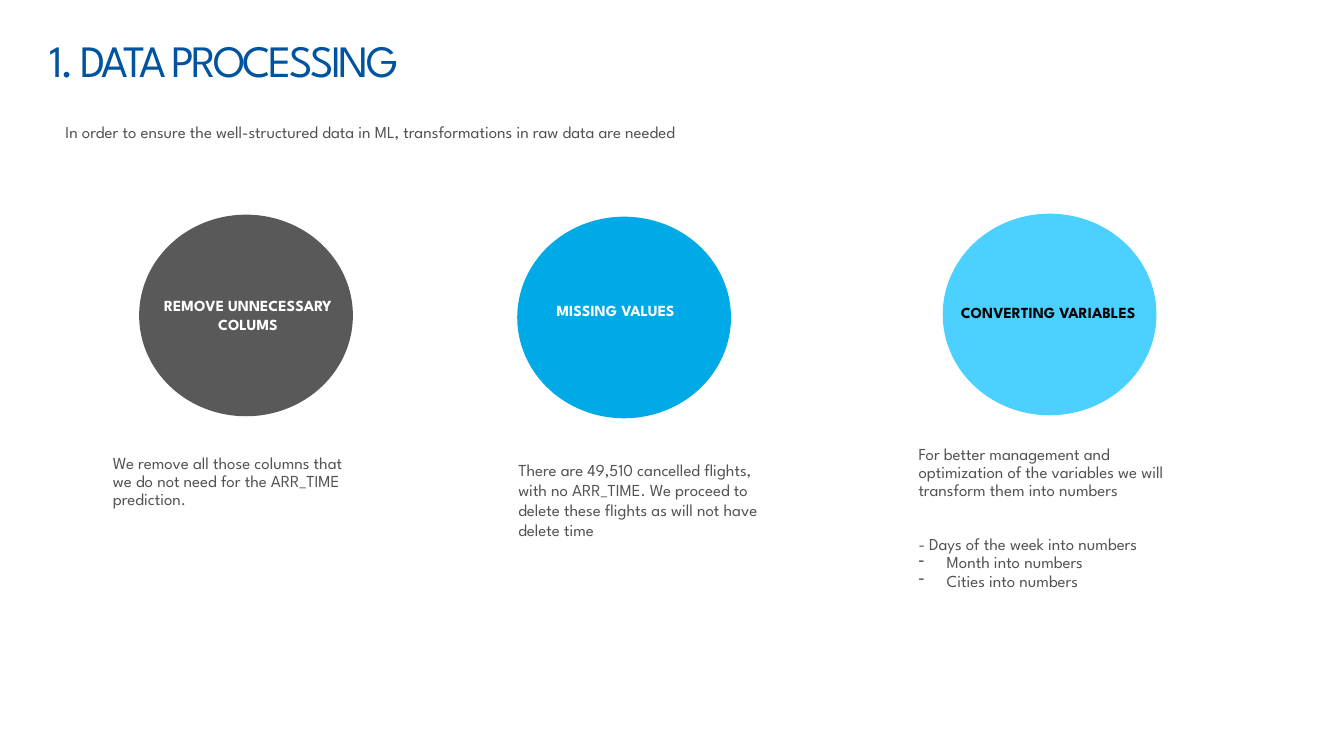
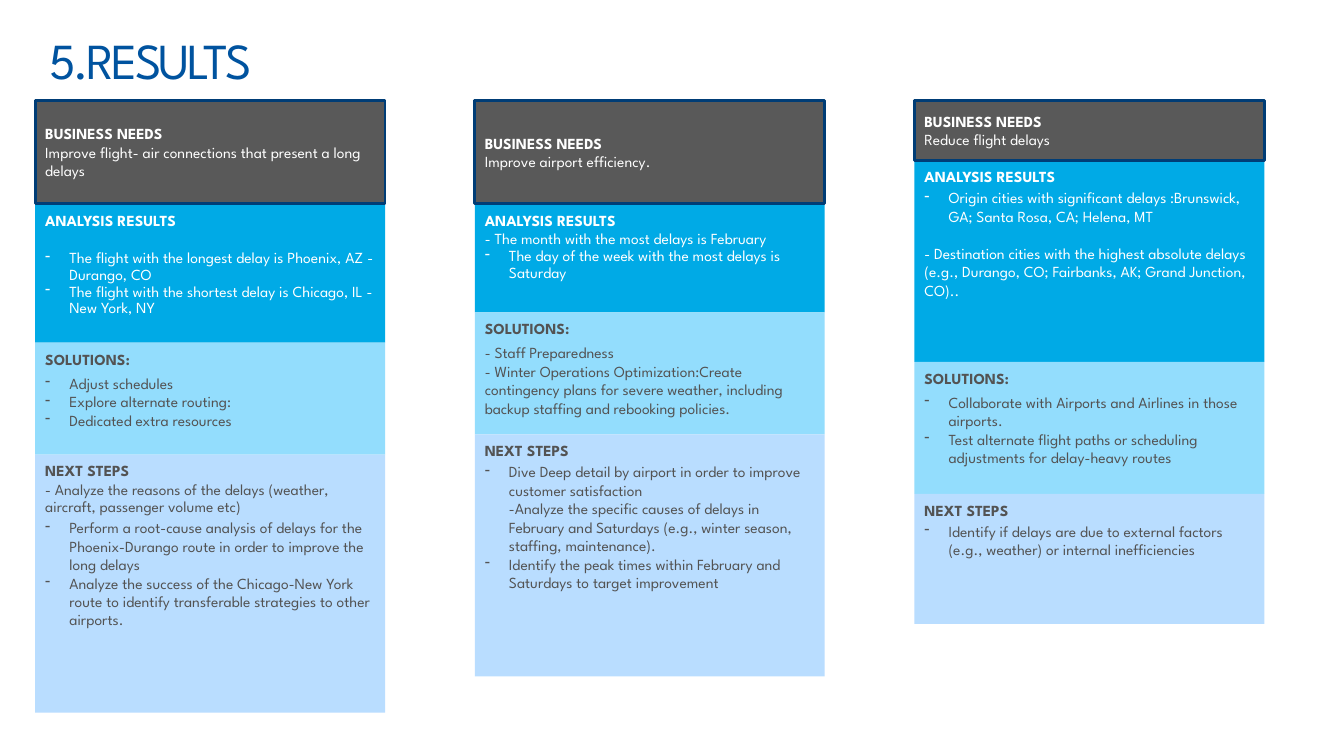
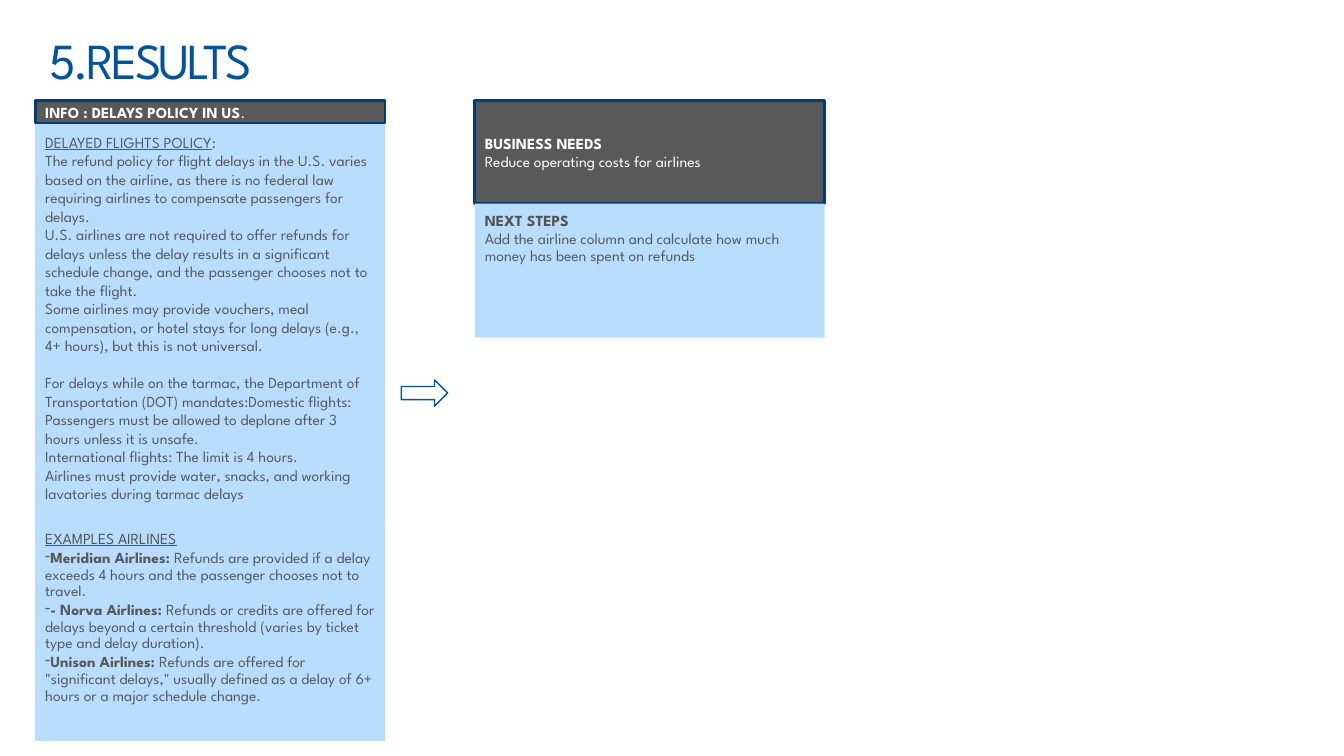
from pptx import Presentation
from pptx.dml.color import RGBColor
from pptx.enum.shapes import MSO_SHAPE
from pptx.enum.text import MSO_ANCHOR, PP_ALIGN
from pptx.oxml.ns import qn
from pptx.util import Inches, Pt
from lxml import etree

RECTANGLE, ELLIPSE, ARROW = MSO_SHAPE.RECTANGLE, MSO_SHAPE.OVAL, MSO_SHAPE.RIGHT_ARROW
TOP, MIDDLE = MSO_ANCHOR.TOP, MSO_ANCHOR.MIDDLE
LEFT, CENTER = PP_ALIGN.LEFT, PP_ALIGN.CENTER


class Theme:
    font = "League Spartan"
    title, outline = "00539F", "003D76"
    white, black = "FFFFFF", "000000"
    text, gray = "535353", "595959"
    blue, sky, pale, mist = "00AAE6", "4BD0FF", "93DDFD", "B9DDFF"
    body_size, panel_size = 12, 11
    title_tracking = -190


def add_box(slide, left, top, width, height, kind=None, fill=None, line=None,
            line_width=2, anchor=TOP, margins=(0, 0)):
    """Add a text box, or a preset shape when a kind is given."""
    place = [Inches(value) for value in (left, top, width, height)]
    if kind is None:
        box = slide.shapes.add_textbox(*place)
    else:
        box = slide.shapes.add_shape(kind, *place)
        box.shadow.inherit = False
        box.fill.solid()
        box.fill.fore_color.rgb = RGBColor.from_string(fill)
        if line:
            box.line.color.rgb = RGBColor.from_string(line)
            box.line.width = Pt(line_width)
        else:
            box.line.fill.background()
    frame = box.text_frame
    frame.word_wrap = True
    frame.vertical_anchor = anchor
    frame.margin_left = frame.margin_right = Inches(margins[0])
    frame.margin_top = frame.margin_bottom = Inches(margins[1])
    return box


def write(box, text, size=Theme.panel_size, color=Theme.text, bold=False, underline=False,
          align=LEFT, spacing=1.0, before=0, after=0, bullet=None, tracking=None):
    """Add a paragraph; text is a string or a list of (string, format) spans."""
    frame = box.text_frame
    para = frame.paragraphs[0] if not frame.text else frame.add_paragraph()
    para.alignment, para.line_spacing = align, spacing
    para.space_before, para.space_after = Pt(before), Pt(after)
    if bullet is not None:
        properties = para._p.get_or_add_pPr()
        properties.set("marL", str(Inches(bullet)))
        properties.set("indent", str(-Inches(bullet)))
        etree.SubElement(properties, qn("a:buChar")).set("char", "-")
    for words, changes in [(text, {})] if isinstance(text, str) else text:
        for index, part in enumerate(words.split("\n")):
            if index:
                para.add_line_break()
            span = para.add_run()
            span.text = part
            span.font.name, span.font.size = Theme.font, Pt(size)
            span.font.bold = changes.get("bold", bold)
            span.font.underline = changes.get("underline", underline)
            span.font.color.rgb = RGBColor.from_string(changes.get("color", color))
            if tracking:
                span.font._element.set("spc", str(tracking))


deck = Presentation()
deck.slide_width, deck.slide_height = Inches(13.33), Inches(7.5)

# Slides and titles
pages = []
for title, size in (("1. DATA PROCESSING", 32), ("5.RESULTS", 36), ("5.RESULTS", 36)):
    page = deck.slides.add_slide(deck.slide_layouts[6])
    write(add_box(page, 0.49, 0.21, 11.67, 0.83, anchor=MIDDLE), title, size=size,
          color=Theme.title, spacing=0.9, tracking=Theme.title_tracking)
    pages.append(page)
processing, results, policy = pages

# Shared formats
TIGHT = dict(spacing=0.9)
BULLET = dict(bullet=0.24)
TIGHT_BULLET = dict(spacing=0.9, bullet=0.24)
SPACED = dict(spacing=0.9, after=1.65)
HEADER = dict(kind=RECTANGLE, fill=Theme.gray, line=Theme.outline,
              anchor=MIDDLE, margins=(0.1, 0.05))
PANEL = dict(kind=RECTANGLE, margins=(0.1, 0.09))

# Data processing: introduction
write(add_box(processing, 0.65, 0.91, 9.36, 0.83, anchor=MIDDLE),
      "In order to ensure the well-structured data in ML, transformations in raw data are needed",
      size=Theme.body_size, spacing=0.9)

# Data processing: circles, labels and descriptions
STEP = dict(bullet=0.28, spacing=0.9)
circles = [
    ((1.38, 2.13), Theme.gray, (1.56, 2.94, 1.8, 0.37),
     "REMOVE UNNECESSARY COLUMS", Theme.white, CENTER, (1.12, 3.88, 2.42),
     [("We remove all those columns that we do not need for the ARR_TIME prediction.", TIGHT)]),
    ((5.13, 2.15), Theme.blue, (5.52, 2.99, 1.73, 0.19),
     "MISSING VALUES", Theme.white, LEFT, (5.14, 4.06, 2.42),
     [("There are 49,510 cancelled flights, with no ARR_TIME. We proceed to delete these "
       "flights as will not have delete time", {})]),
    ((9.35, 2.12), Theme.sky, (9.53, 3.01, 1.9, 0.19),
     "CONVERTING VARIABLES", Theme.black, LEFT, (9.11, 4.24, 2.78),
     [("For better management and optimization of the variables we will transform them "
       "into numbers", TIGHT),
      ("- Days of the week into numbers", dict(spacing=0.9, before=26)),
      ("Month into numbers", STEP),
      ("Cities into numbers", STEP)]),
]
for corner, fill, label_place, label, color, align, text_place, lines in circles:
    add_box(processing, *corner, 2.12, 2, kind=ELLIPSE, fill=fill)
    write(add_box(processing, *label_place), label, color=color, bold=True, align=align)
    description = add_box(processing, *text_place, 1.8, anchor=MIDDLE)
    for text, style in lines:
        write(description, text, size=Theme.body_size, **style)

# Results: three columns of stacked panels
COLUMN_LEFT, COLUMN_PITCH, COLUMN_WIDTH = 0.35, 4.36, 3.47
sections = [
    ("BUSINESS NEEDS", Theme.white, {}, HEADER),
    ("ANALYSIS RESULTS", Theme.white, SPACED, dict(PANEL, fill=Theme.blue)),
    ("SOLUTIONS:", Theme.text, dict(spacing=0.9, after=3.85), dict(PANEL, fill=Theme.pale)),
    ("NEXT STEPS", Theme.text, SPACED, dict(PANEL, fill=Theme.mist)),
]
columns = [
    ((1, 2.02, 3.4, 4.51, 7.07), [
        [("Improve flight- air connections that present a long delays", {})],
        [("The flight with the longest delay is Phoenix, AZ - Durango, CO",
          dict(TIGHT_BULLET, before=13.5)),
         ("The flight with the shortest delay is Chicago, IL - New York, NY", TIGHT_BULLET)],
        [("Adjust schedules", BULLET),
         ("Explore alternate routing:", BULLET),
         ("Dedicated extra resources", BULLET)],
        [("- Analyze the reasons of the delays (weather, aircraft, passenger volume etc)", SPACED),
         ("Perform a root-cause analysis of delays for the Phoenix-Durango route in order to "
          "improve the long delays", BULLET),
         ("Analyze the success of the Chicago-New York route to identify transferable "
          "strategies to other airports.", BULLET)],
    ]),
    ((1, 2.02, 3.1, 4.31, 6.71), [
        [("Improve airport efficiency.", {})],
        [("- The month with the most delays is February", TIGHT),
         ("The day of the week with the most delays is Saturday", TIGHT_BULLET)],
        [("- Staff Preparedness", {}),
         ("- Winter Operations Optimization:Create contingency plans for severe weather, "
          "including backup staffing and rebooking policies.", {})],
        [("Dive Deep detail by airport in order to improve customer satisfaction\n"
          "-Analyze the specific causes of delays in February and Saturdays (e.g., winter "
          "season, staffing, maintenance).", BULLET),
         ("Identify the peak times within February and Saturdays to target improvement",
          BULLET)],
    ]),
    ((1, 1.59, 3.59, 4.9, 6.19), [
        [("Reduce flight delays", {})],
        [("Origin cities with significant delays :Brunswick, GA; Santa Rosa, CA; Helena, MT",
          BULLET),
         ("- Destination cities with the highest absolute delays (e.g., Durango, CO; "
          "Fairbanks, AK; Grand Junction, CO)..", dict(before=13.2))],
        [("Collaborate with Airports and Airlines in those airports.", BULLET),
         ("Test alternate flight paths or scheduling adjustments for delay-heavy routes",
          BULLET)],
        [("Identify if delays are due to external factors (e.g., weather) or internal "
          "inefficiencies", BULLET)],
    ]),
]
for column, (edges, contents) in enumerate(columns):
    left = COLUMN_LEFT + column * COLUMN_PITCH
    for row in (1, 2, 0, 3):  # the outlined header lies over the analysis panel
        heading, color, heading_style, look = sections[row]
        panel = add_box(results, left, edges[row], COLUMN_WIDTH,
                        edges[row + 1] - edges[row], **look)
        write(panel, heading, color=color, bold=True, **heading_style)
        for text, style in contents[row]:
            write(panel, text, color=color, **style)

# Delay policy: panels as top, column, height, look and paragraphs
BOLD, LINE_GAP = dict(bold=True), dict(before=13.2)
GRAY = dict(color=Theme.gray)
AIRLINE = dict(SPACED, color=Theme.gray, bullet=0)
HEADER_TITLE = dict(color=Theme.white, bold=True)
MIST_PANEL = dict(PANEL, fill=Theme.mist)
policy_panels = [
    (0, 1.23, 3.98, MIST_PANEL, [
        ([("DELAYED FLIGHTS POLICY", dict(underline=True)), (":", {})], GRAY),
        ("The refund policy for flight delays in the U.S. varies based on the airline, as there "
         "is no federal law requiring airlines to compensate passengers for delays.", GRAY),
        ("U.S. airlines are not required to offer refunds for delays unless the delay results "
         "in a significant schedule change, and the passenger chooses not to take the flight.",
         GRAY),
        ("Some airlines may provide vouchers, meal compensation, or hotel stays for long delays "
         "(e.g., 4+ hours), but this is not universal.", GRAY),
        ("For delays while on the tarmac, the Department of Transportation (DOT) "
         "mandates:Domestic flights: Passengers must be allowed to deplane after 3 hours "
         "unless it is unsafe.", dict(GRAY, **LINE_GAP)),
        ("International flights: The limit is 4 hours.", GRAY),
        ([("Airlines must provide water, snacks, and working lavatories during tarmac delays", {}),
          (".", dict(color=Theme.white))], GRAY)]),
    (0, 1, 0.22, HEADER, [
        ([("INFO : DELAYS POLICY IN US", BOLD), (".", {})], dict(color=Theme.white))]),
    (1, 1, 1.02, HEADER, [
        ("BUSINESS NEEDS", HEADER_TITLE),
        ("Reduce operating costs for airlines", dict(color=Theme.white))]),
    (0, 5.18, 2.17, MIST_PANEL, [
        ("EXAMPLES AIRLINES", dict(SPACED, underline=True)),
        ([("Meridian Airlines:", BOLD),
          (" Refunds are provided if a delay exceeds 4 hours and the passenger chooses not to "
           "travel.", {})], AIRLINE),
        ([("- Norva Airlines:", BOLD),
          (" Refunds or credits are offered for delays beyond a certain threshold (varies by "
           "ticket type and delay duration).", {})], AIRLINE),
        ([("Unison Airlines:", BOLD),
          (' Refunds are offered for "significant delays," usually defined as a delay of 6+ '
           "hours or a major schedule change.", {})], AIRLINE)]),
    (1, 2.02, 1.33, MIST_PANEL, [
        ("NEXT STEPS", dict(SPACED, bold=True)),
        ("Add the airline column and calculate how much money has been spent on refunds",
         dict(SPACED, **GRAY))]),
]
for column, top, height, look, lines in policy_panels:
    panel = add_box(policy, COLUMN_LEFT + column * COLUMN_PITCH, top, COLUMN_WIDTH, height, **look)
    for text, style in lines:
        write(panel, text, **style)

# Delay policy: arrow from the policy to the business need
add_box(policy, 3.98, 3.77, 0.46, 0.26, kind=ARROW, fill=Theme.white,
        line=Theme.title, line_width=1)

deck.save("out.pptx")
